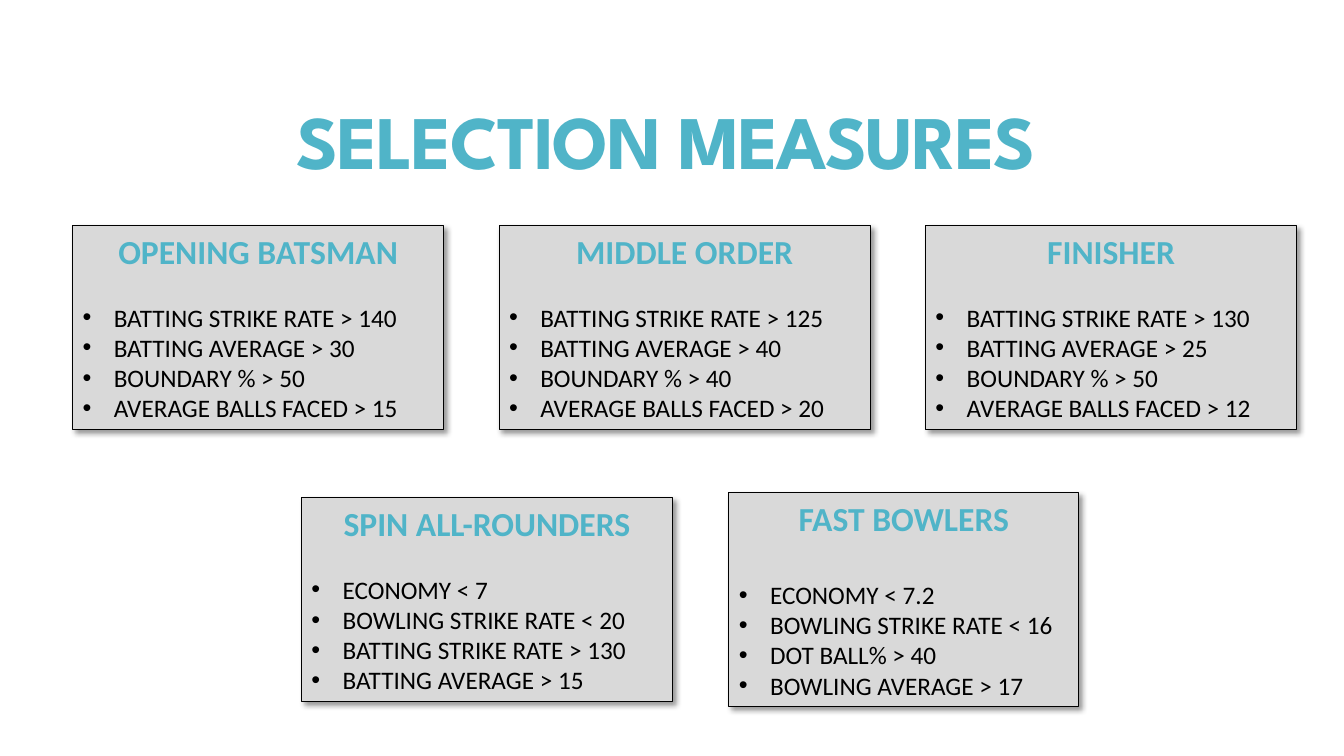
from lxml import etree
from pptx import Presentation
from pptx.dml.color import RGBColor
from pptx.enum.shapes import MSO_SHAPE
from pptx.enum.text import MSO_ANCHOR, MSO_AUTO_SIZE, PP_ALIGN
from pptx.oxml.ns import qn
from pptx.util import Inches, Pt

RECT = MSO_SHAPE.RECTANGLE
TOP, MIDDLE = MSO_ANCHOR.TOP, MSO_ANCHOR.MIDDLE
GROW = MSO_AUTO_SIZE.SHAPE_TO_FIT_TEXT
LEFT, CENTER = PP_ALIGN.LEFT, PP_ALIGN.CENTER

TEAL = RGBColor(0x50, 0xB4, 0xC8)
GRAY = RGBColor(0xD9, 0xD9, 0xD9)
BLACK = RGBColor(0, 0, 0)

COL, STEP, ROW = 0.72, 4.23, 2.24
WIDE, HIGH = 3.68, 2.02
LOW = 4.94

TOP_ROLES = [
    ("OPENING BATSMAN", (140, 30, 50, 15)),
    ("MIDDLE ORDER", (125, 40, 40, 20)),
    ("FINISHER", (130, 25, 50, 12)),
]
BAT_TESTS = ["BATTING STRIKE RATE", "BATTING AVERAGE", "BOUNDARY %", "AVERAGE BALLS FACED"]
SPIN = ["ECONOMY < 7", "BOWLING STRIKE RATE < 20", "BATTING STRIKE RATE > 130", "BATTING AVERAGE > 15"]
FAST = ["ECONOMY < 7.2", "BOWLING STRIKE RATE < 16", "DOT BALL% > 40", "BOWLING AVERAGE > 17"]


class Deck:
    head = {"name": "League Spartan", "size": Pt(54), "bold": True}
    role = {"name": "Calibri", "size": Pt(24), "bold": True}
    test = {"name": "Calibri", "size": Pt(18), "bold": False}

    def __init__(self, slide):
        self.slide = slide

    def label(self, para, text, style, color, align):
        para.alignment = align
        run = para.add_run()
        run.text = text
        for key, value in style.items():
            setattr(run.font, key, value)
        run.font.color.rgb = color
        return run

    def title(self, text, *place):
        box = self.slide.shapes.add_textbox(*map(Inches, place))
        frame = box.text_frame
        frame.word_wrap = True
        frame.vertical_anchor = MIDDLE
        para = frame.paragraphs[0]
        para.line_spacing = 0.85
        run = self.label(para, text, self.head, TEAL, CENTER)
        run._r.get_or_add_rPr().set("spc", "-120")

    def shade(self, shape):
        shape.shadow.inherit = False
        effect = shape._element.spPr.find(qn("a:effectLst"))
        outer = etree.SubElement(
            effect, qn("a:outerShdw"), blurRad=str(Pt(4)), dist=str(Pt(3)),
            dir="2700000", algn="tl", rotWithShape="0")
        color = etree.SubElement(outer, qn("a:srgbClr"), val=str(BLACK))
        etree.SubElement(color, qn("a:alpha"), val="40000")

    def bullet(self, para):
        props = para._p.get_or_add_pPr()
        props.set("marL", str(Inches(0.31)))
        props.set("indent", str(Inches(-0.31)))
        etree.SubElement(props, qn("a:buFont"), typeface="Arial")
        etree.SubElement(props, qn("a:buChar"), char="•")

    def card(self, role, tests, *place, gap=22):
        shape = self.slide.shapes.add_shape(RECT, *map(Inches, place))
        shape.fill.solid()
        shape.fill.fore_color.rgb = GRAY
        shape.line.color.rgb = BLACK
        shape.line.width = Pt(0.75)
        self.shade(shape)
        frame = shape.text_frame
        for key, value in {"word_wrap": True, "vertical_anchor": TOP, "auto_size": GROW}.items():
            setattr(frame, key, value)
        para = frame.paragraphs[0]
        para.space_after = Pt(gap)
        self.label(para, role, self.role, TEAL, CENTER)
        for text in tests:
            para = frame.add_paragraph()
            self.label(para, text, self.test, BLACK, LEFT)
            self.bullet(para)


def main():
    prs = Presentation()
    prs.slide_width, prs.slide_height = Inches(13.33), Inches(7.5)
    deck = Deck(prs.slides.add_slide(prs.slide_layouts[6]))
    deck.title("SELECTION MEASURES", 0.72, 0.55, 11.78, 1.81)
    for i, (role, marks) in enumerate(TOP_ROLES):
        tests = [f"{name} > {mark}" for name, mark in zip(BAT_TESTS, marks)]
        deck.card(role, tests, COL + i * STEP, ROW, WIDE, HIGH)
    deck.card("SPIN ALL-ROUNDERS", SPIN, 2.99, LOW, WIDE, HIGH)
    deck.card("FAST BOWLERS", FAST, 7.23, 4.89, 3.47, 2.12, gap=29.3)
    prs.save("out.pptx")


if __name__ == "__main__":
    main()
